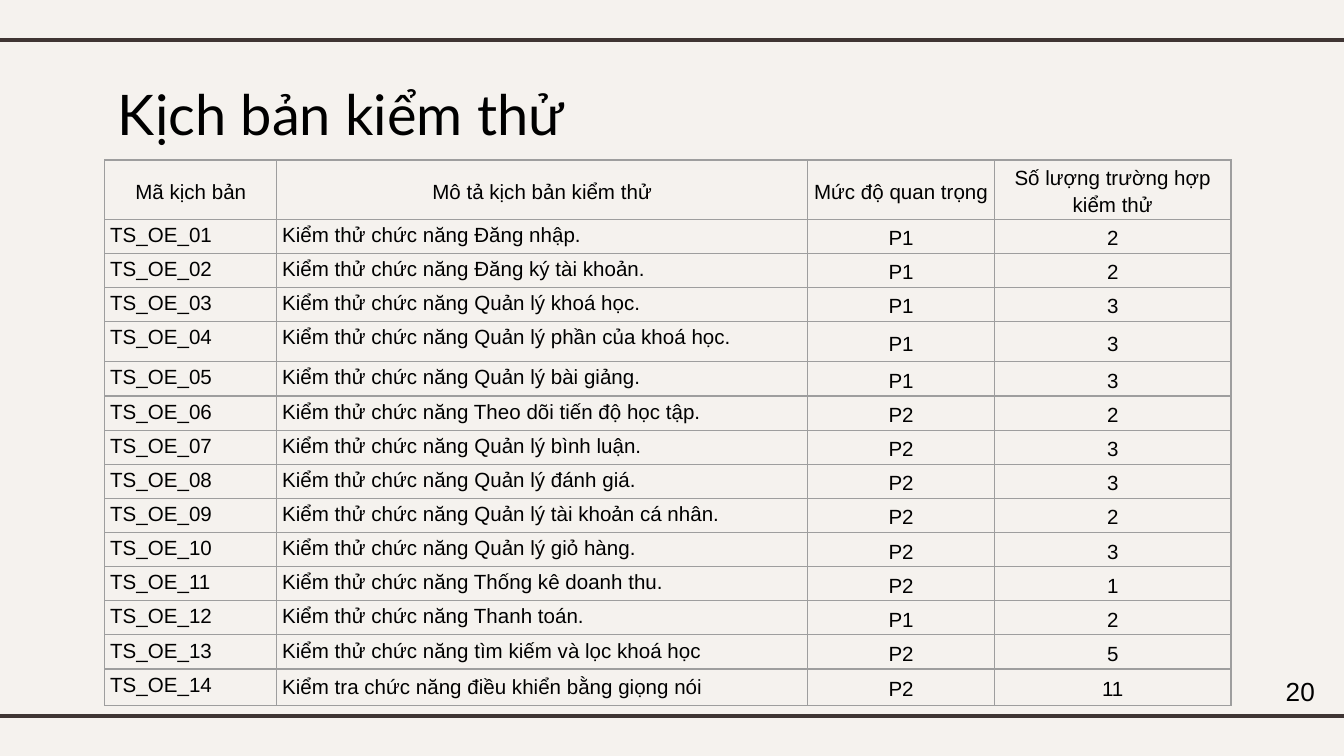
from typing import NamedTuple

from lxml.etree import SubElement
from pptx import Presentation
from pptx.dml.color import RGBColor
from pptx.enum.shapes import MSO_CONNECTOR as Connector, MSO_SHAPE as Shape
from pptx.enum.text import MSO_ANCHOR as Anchor, PP_ALIGN as Align
from pptx.oxml.ns import qn
from pptx.util import Inches, Pt

BACKGROUND = RGBColor(0xF5, 0xF2, 0xEE)
RULE = RGBColor(0x3F, 0x35, 0x33)
GRID = RGBColor(0x9E, 0x9E, 0x9E)
INK = RGBColor(0, 0, 0)

PAGE_WIDTH = 10
PAGE_HEIGHT = PAGE_WIDTH * 9 / 16
HEADERS = ("Mã kịch bản", "Mô tả kịch bản kiểm thử", "Mức độ quan trọng", "Số lượng trường hợp kiểm thử")
COLUMN_WIDTHS = (1.28, 3.95, 1.39, 1.76)
ROW_HEIGHT = 3.05 / 12
SPECIAL_HEIGHTS = {0: 0.39, 4: 0.3, 14: 0.27}
RULE_TOPS = (0.3, 5.33)


class Scenario(NamedTuple):
    description: str
    priority: str
    cases: int
    line_spacing: float = 1.2


SCENARIOS = (
    Scenario("Kiểm thử chức năng Đăng nhập.", "P1", 2),
    Scenario("Kiểm thử chức năng Đăng ký tài khoản.", "P1", 2),
    Scenario("Kiểm thử chức năng Quản lý khoá học.", "P1", 3),
    Scenario("Kiểm thử chức năng Quản lý phần của khoá học.", "P1", 3),
    Scenario("Kiểm thử chức năng Quản lý bài giảng.", "P1", 3),
    Scenario("Kiểm thử chức năng Theo dõi tiến độ học tập.", "P2", 2),
    Scenario("Kiểm thử chức năng Quản lý bình luận.", "P2", 3),
    Scenario("Kiểm thử chức năng Quản lý đánh giá.", "P2", 3),
    Scenario("Kiểm thử chức năng Quản lý tài khoản cá nhân.", "P2", 2),
    Scenario("Kiểm thử chức năng Quản lý giỏ hàng.", "P2", 3),
    Scenario("Kiểm thử chức năng Thống kê doanh thu.", "P2", 1),
    Scenario("Kiểm thử chức năng Thanh toán.", "P1", 2),
    Scenario("Kiểm thử chức năng tìm kiếm và lọc khoá học", "P2", 5),
    Scenario("Kiểm tra chức năng điều khiển bằng giọng nói", "P2", 11, 1.3),
)


def write(frame, text: str, size: float, font: str, align: Align):
    frame.text = text
    para = frame.paragraphs[0]
    para.alignment = align
    span = para.runs[0]
    span.font.size = Pt(size)
    span.font.name = font
    span.font.color.rgb = INK
    return para


def set_margins(target, side: float, vertical: float) -> None:
    target.margin_left = target.margin_right = Inches(side)
    target.margin_top = target.margin_bottom = Inches(vertical)


def draw_rule(page, top: float) -> None:
    rule = page.shapes.add_connector(
        Connector.STRAIGHT, Inches(-0.08), Inches(top), Inches(10.08), Inches(top))
    rule.line.color.rgb = RULE
    rule.line.width = Pt(2.25)
    SubElement(rule._element.spPr, qn("a:effectLst"))


def draw_title(page, text: str) -> None:
    box = page.shapes.add_textbox(Inches(0.78), Inches(0.49), Inches(8.44), Inches(0.63))
    box.text_frame.word_wrap = True
    set_margins(box.text_frame, 0.1, 0.1)
    write(box.text_frame, text, 30, "Lato", Align.LEFT)


def draw_page_number(page, number: int) -> None:
    badge = page.shapes.add_shape(Shape.OVAL, Inches(9.35), Inches(4.94), Inches(0.65), Inches(0.4))
    badge.shadow.inherit = False
    badge.fill.background()
    badge.line.fill.background()
    badge.text_frame.vertical_anchor = Anchor.MIDDLE
    write(badge.text_frame, str(number), 14, "Arial", Align.CENTER)


def add_borders(cell) -> None:
    properties = cell._tc.get_or_add_tcPr()
    for position, side in enumerate(("lnL", "lnR", "lnT", "lnB")):
        border = SubElement(properties, qn(f"a:{side}"), w=str(Pt(0.75)))
        properties.insert(position, border)
        fill = SubElement(border, qn("a:solidFill"))
        SubElement(fill, qn("a:srgbClr"), val=str(GRID))


def fill_cell(cell, text: str, centred: bool, line_spacing: float = 1.2, gap: float = 6) -> None:
    cell.fill.background()
    add_borders(cell)
    set_margins(cell, 0.04, 0)
    cell.vertical_anchor = Anchor.MIDDLE if centred else Anchor.TOP
    para = write(cell.text_frame, text, 11, "Arial", Align.CENTER if centred else Align.JUSTIFY)
    para.line_spacing = line_spacing
    para.space_before = para.space_after = Pt(gap)


def draw_table(page) -> None:
    heights = [SPECIAL_HEIGHTS.get(row, ROW_HEIGHT) for row in range(len(SCENARIOS) + 1)]
    table = page.shapes.add_table(
        len(heights), len(HEADERS), Inches(0.78), Inches(1.19),
        Inches(sum(COLUMN_WIDTHS)), Inches(sum(heights))).table
    table.first_row = table.horz_banding = False
    for column, width in zip(table.columns, COLUMN_WIDTHS):
        column.width = Inches(width)
    for row, height in zip(table.rows, heights):
        row.height = Inches(height)
    for column, header in enumerate(HEADERS):
        fill_cell(table.cell(0, column), header, True, gap=4.5)
    for row, scenario in enumerate(SCENARIOS, start=1):
        values = (f"TS_OE_{row:02}", scenario.description, scenario.priority, str(scenario.cases))
        for column, value in enumerate(values):
            spacing = scenario.line_spacing if column == 1 else 1.2
            fill_cell(table.cell(row, column), value, column >= 2, spacing)


def main() -> None:
    deck = Presentation()
    deck.slide_width, deck.slide_height = Inches(PAGE_WIDTH), Inches(PAGE_HEIGHT)
    page = deck.slides.add_slide(deck.slide_layouts[6])
    page.background.fill.solid()
    page.background.fill.fore_color.rgb = BACKGROUND
    for top in RULE_TOPS:
        draw_rule(page, top)
    draw_title(page, "Kịch bản kiểm thử")
    draw_table(page)
    draw_page_number(page, 20)
    deck.save("out.pptx")


if __name__ == "__main__":
    main()
